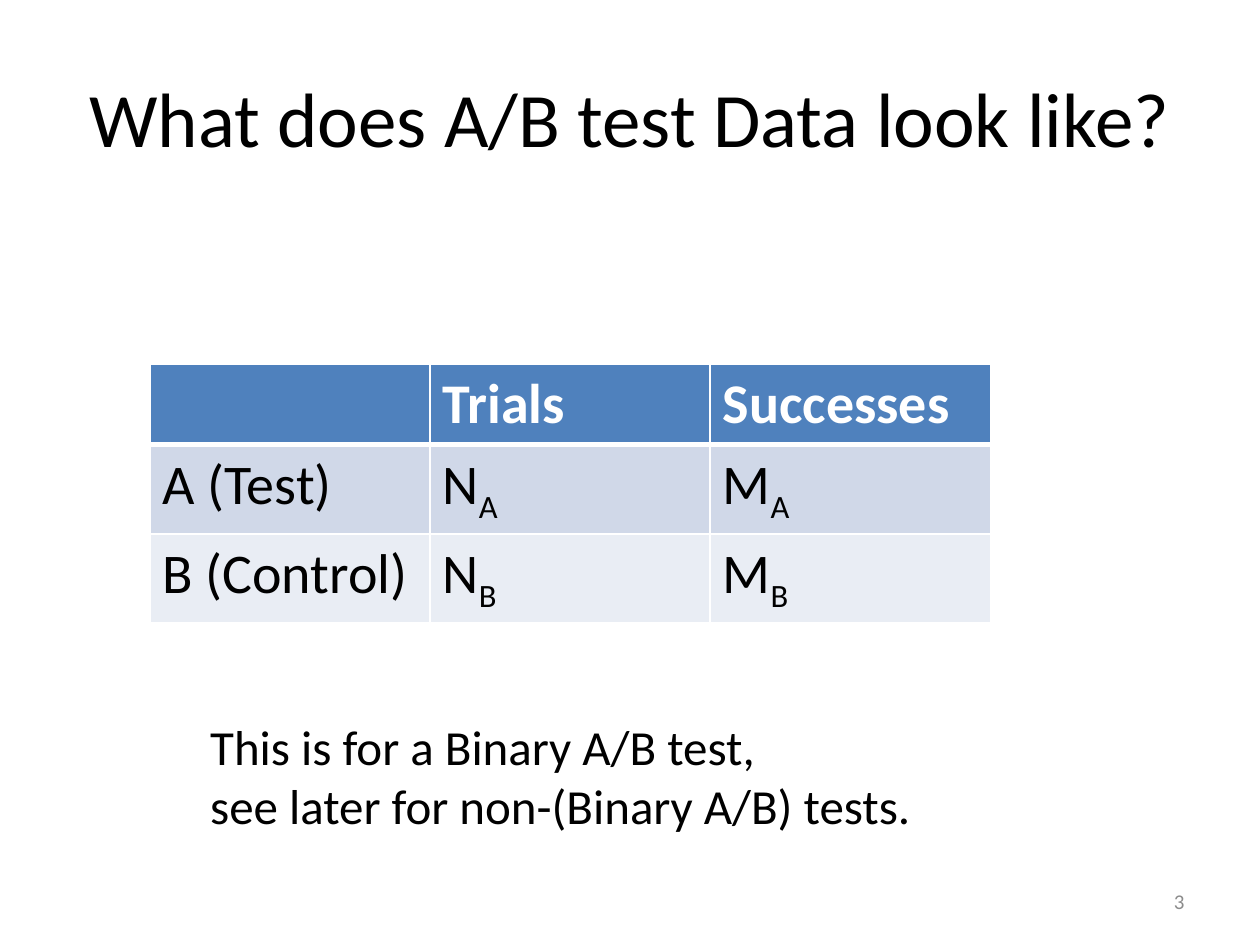
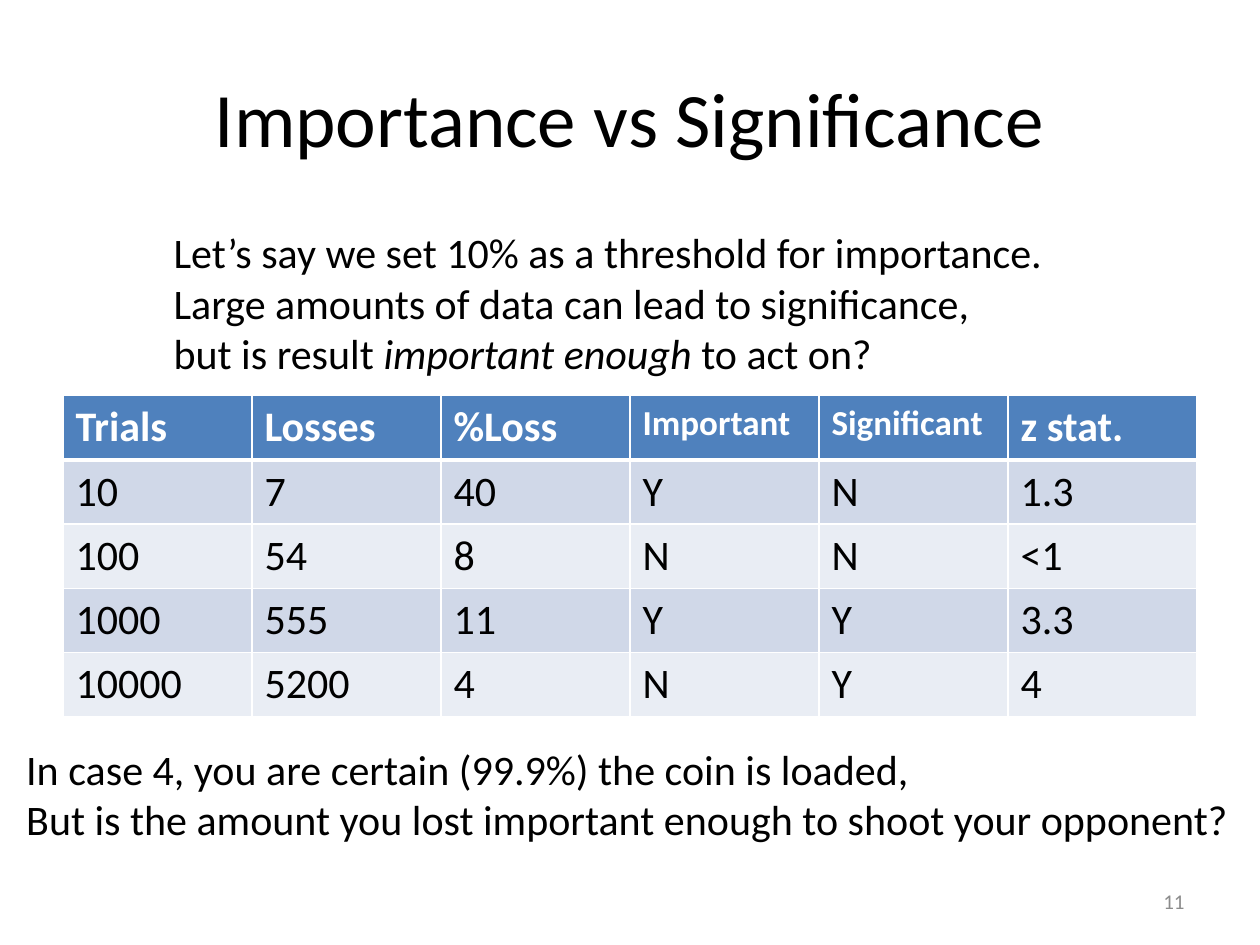
from lxml import etree
from pptx import Presentation
from pptx import util as u
from pptx.dml.color import RGBColor
from pptx.enum import text
from pptx.oxml.ns import qn

FONT = "Calibri"
BLACK = RGBColor(0x00, 0x00, 0x00)
WHITE = RGBColor(0xFF, 0xFF, 0xFF)
GREY = RGBColor(0x8C, 0x8C, 0x8C)
HEADER = RGBColor(0x4F, 0x81, 0xBD)
BANDS = [RGBColor(0xD0, 0xD8, 0xE8), RGBColor(0xE9, 0xED, 0xF4)]

# Content: a line is a string, or a list of (text, style) spans
PLAIN, ITALIC, SUBSCRIPT = "plain", "italic", "subscript"


def indexed(letter, index):
    return [(letter, PLAIN), (index, SUBSCRIPT)]


SLIDES = [
    {
        "title": "What does A/B test Data look like?",
        "number": "3",
        "table": {
            "at": (1.19, 2.89), "width": 6.67, "size": 32,
            "header_height": 0.64, "row_height": 0.7, "small_headers": {},
            "rows": [
                ["", "Trials", "Successes"],
                ["A (Test)", indexed("N", "A"), indexed("M", "A")],
                ["B (Control)", indexed("N", "B"), indexed("M", "B")],
            ],
        },
        "notes": [
            {"at": (1.57, 5.64, 5.84, 1.04), "size": 28,
             "lines": ["This is for a Binary A/B test,",
                       "see later for non-(Binary A/B) tests."]},
        ],
    },
    {
        "title": "Importance vs Significance",
        "number": "11",
        "table": {
            "at": (0.5, 3.14), "width": 9, "size": 24,
            "header_height": 0.51, "row_height": 0.51,
            "small_headers": {"Important": 20, "Significant": 20},
            "rows": [
                ["Trials", "Losses", "%Loss", "Important", "Significant", "z stat."],
                ["10", "7", "40", "Y", "N", "1.3"],
                ["100", "54", "8", "N", "N", "<1"],
                ["1000", "555", "11", "Y", "Y", "3.3"],
                ["10000", "5200", "4", "N", "Y", "4"],
            ],
        },
        "notes": [
            {"at": (0.11, 5.85, 9.86, 0.91), "size": 24,
             "lines": ["In case 4, you are certain (99.9%) the coin is loaded,",
                       "But is the amount you lost important enough to shoot your opponent?"]},
            {"at": (1.28, 1.75, 7.2, 1.31), "size": 24,
             "lines": ["Let’s say we set 10% as a threshold for importance.",
                       "Large amounts of data can lead to significance,",
                       [("but is result ", PLAIN), ("important enough ", ITALIC),
                        ("to act on?", PLAIN)]]},
        ],
    },
]


def write_line(para, line, size, color=BLACK, bold=False):
    para.font.name = FONT
    para.font.size = u.Pt(size)
    para.font.bold = bold
    para.font.color.rgb = color
    spans = [(line, PLAIN)] if isinstance(line, str) else line
    for words, style in spans:
        span = para.add_run()
        span.text = words
        if style == ITALIC:
            span.font.italic = True
        elif style == SUBSCRIPT:
            span.font._element.set("baseline", "-25000")


def add_text(page, at, lines, size, color=BLACK, align=text.PP_ALIGN.LEFT,
             anchor=text.MSO_ANCHOR.TOP, wrap=True):
    box = page.shapes.add_textbox(*map(u.Inches, at))
    frame = box.text_frame
    frame.word_wrap = wrap
    frame.vertical_anchor = anchor
    for index, line in enumerate(lines):
        para = frame.add_paragraph() if index else frame.paragraphs[0]
        para.alignment = align
        write_line(para, line, size, color)


def add_borders(cell, widths):
    properties = cell._tc.get_or_add_tcPr()
    for side, points in widths.items():
        line = etree.SubElement(properties, qn("a:ln" + side), w=str(u.Pt(points)))
        fill = etree.SubElement(line, qn("a:solidFill"))
        etree.SubElement(fill, qn("a:srgbClr"), val=str(WHITE))


def add_table(page, spec):
    rows = spec["rows"]
    columns = len(rows[0])
    heights = [spec["header_height"]] + [spec["row_height"]] * (len(rows) - 1)
    left, top = spec["at"]
    frame = page.shapes.add_table(len(rows), columns, u.Inches(left), u.Inches(top),
                                  u.Inches(spec["width"]), u.Inches(sum(heights)))
    table = frame.table
    for column in table.columns:
        column.width = u.Inches(spec["width"] / columns)
    for r, row in enumerate(rows):
        table.rows[r].height = u.Inches(heights[r])
        is_header = r == 0
        for c, line in enumerate(row):
            cell = table.cell(r, c)
            # A thick rule separates the header from the body
            add_borders(cell, {"L": 1, "R": 1, "T": 3 if r == 1 else 1,
                               "B": 3 if is_header else 1})
            cell.fill.solid()
            cell.fill.fore_color.rgb = HEADER if is_header else BANDS[(r - 1) % 2]
            size = spec["size"]
            if is_header:
                size = spec["small_headers"].get(line, size)
            if line:
                write_line(cell.text_frame.paragraphs[0], line, size,
                           WHITE if is_header else BLACK, is_header)


deck = Presentation()
deck.slide_width, deck.slide_height = u.Inches(10), u.Inches(7.5)

for content in SLIDES:
    page = deck.slides.add_slide(deck.slide_layouts[6])
    # Shared title and page number
    add_text(page, (0.5, 0.3, 9, 1.25), [content["title"]], 44,
             align=text.PP_ALIGN.CENTER, anchor=text.MSO_ANCHOR.MIDDLE)
    add_text(page, (7.17, 6.95, 2.33, 0.4), [content["number"]], 12, GREY,
             text.PP_ALIGN.RIGHT, text.MSO_ANCHOR.MIDDLE)
    # Data and remarks
    add_table(page, content["table"])
    for note in content["notes"]:
        add_text(page, note["at"], note["lines"], note["size"], wrap=False)

deck.save("out.pptx")
